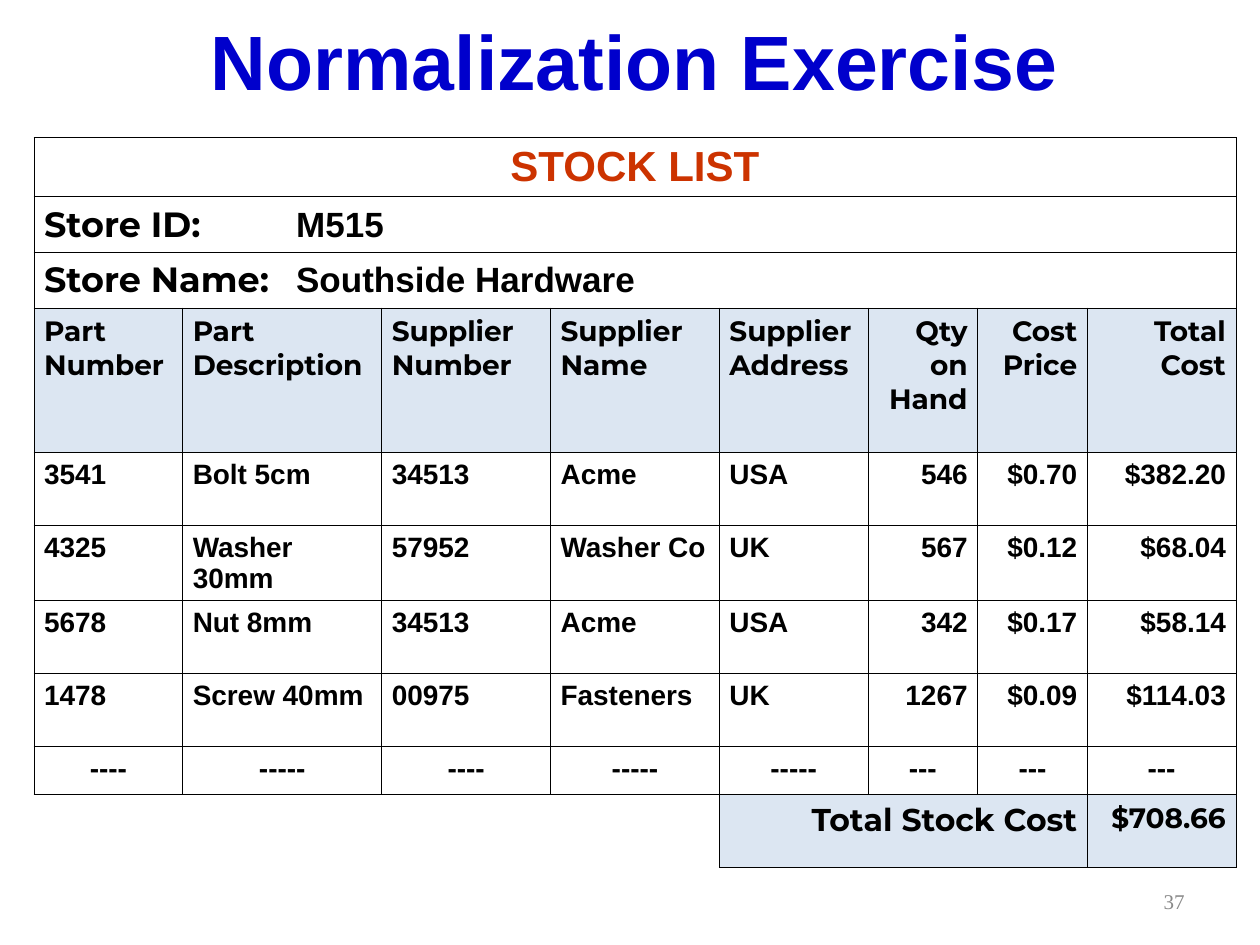
from lxml import etree
from pptx import Presentation
from pptx.dml.color import RGBColor
from pptx.enum.text import MSO_ANCHOR, PP_ALIGN
from pptx.oxml.ns import qn
from pptx.util import Inches, Pt

LEFT, CENTER, RIGHT = PP_ALIGN.LEFT, PP_ALIGN.CENTER, PP_ALIGN.RIGHT
MIDDLE = MSO_ANCHOR.MIDDLE
BODY, LABEL, NUMBER = "Arial", "Montserrat", "Times New Roman"
BLACK, BLUE, RED, GREY, PALE = "000000", "0000CC", "CC3300", "898989", "DCE6F2"

TITLE = "Normalization Exercise"
PAGE = "37"
CAPTION = "STOCK LIST"
STORE = [("Store ID:", "M515"), ("Store Name:", "Southside Hardware")]
HEADINGS = ["Part Number", "Part Description", "Supplier Number", "Supplier Name",
            "Supplier Address", "Qty on Hand", "Cost Price", "Total Cost"]
PARTS = [
    ["3541", "Bolt 5cm", "34513", "Acme", "USA", "546", "$0.70", "$382.20"],
    ["4325", "Washer 30mm", "57952", "Washer Co", "UK", "567", "$0.12", "$68.04"],
    ["5678", "Nut 8mm", "34513", "Acme", "USA", "342", "$0.17", "$58.14"],
    ["1478", "Screw 40mm", "00975", "Fasteners", "UK", "1267", "$0.09", "$114.03"],
]
MORE = ["----", "-----", "----", "-----", "-----", "---", "---", "---"]
TOTAL_LABEL, TOTAL = "Total Stock Cost", "$708.66"

COL_WIDTHS = [1.18, 1.58, 1.34, 1.34, 1.18, 0.87, 0.87, 1.18]
ROW_HEIGHTS = [0.41] * 3 + [1.15] + [0.58] * len(PARTS) + [0.38, 0.58]
HEADING_ROW = 1 + len(STORE)
LAST_ROW, LAST_COL = len(ROW_HEIGHTS) - 1, len(COL_WIDTHS) - 1
FIRST_NUMERIC_COL = 5
TOTAL_COL = 4


def rgb(value):
    return RGBColor.from_string(value)


def style(run, size, face, color=BLACK, bold=True):
    run.font.size = Pt(size)
    run.font.name = face
    run.font.bold = bold
    run.font.color.rgb = rgb(color)


def write(frame, text, size, face, align, color=BLACK, bold=True):
    frame.text = text
    paragraph = frame.paragraphs[0]
    paragraph.alignment = align
    style(paragraph.runs[0], size, face, color, bold)


def set_borders(cell, visible):
    """Draw the sides named in visible (letters of LRTB) and hide the others."""
    properties = cell._tc.get_or_add_tcPr()
    for index, side in enumerate("LRTB"):
        line = etree.Element(qn(f"a:ln{side}"), w=str(Pt(0.45)))
        if side in visible:
            fill = etree.SubElement(line, qn("a:solidFill"))
            etree.SubElement(fill, qn("a:srgbClr"), val=BLACK)
        else:
            etree.SubElement(line, qn("a:noFill"))
        properties.insert(index, line)


def add_tab(paragraph, position):
    tabs = etree.SubElement(paragraph._p.get_or_add_pPr(), qn("a:tabLst"))
    etree.SubElement(tabs, qn("a:tab"), pos=str(Inches(position)), algn="l")


def format_grid(table):
    for column, width in zip(table.columns, COL_WIDTHS):
        column.width = Inches(width)
    for r, height in enumerate(ROW_HEIGHTS):
        table.rows[r].height = Inches(height)
        for c in range(len(COL_WIDTHS)):
            cell = table.cell(r, c)
            cell.margin_left = cell.margin_right = Inches(0.08)
            cell.margin_top = cell.margin_bottom = Inches(0.05)
            blank = r == LAST_ROW and c < TOTAL_COL
            if r == HEADING_ROW or (r == LAST_ROW and not blank):
                cell.fill.solid()
                cell.fill.fore_color.rgb = rgb(PALE)
            else:
                cell.fill.background()
            blank_sides = "TR" if c == TOTAL_COL - 1 else "T"
            set_borders(cell, blank_sides if blank else "LRTB")


def fill_table(table):
    for r in range(HEADING_ROW):
        table.cell(r, 0).merge(table.cell(r, LAST_COL))
    table.cell(LAST_ROW, 0).merge(table.cell(LAST_ROW, TOTAL_COL - 1))
    table.cell(LAST_ROW, TOTAL_COL).merge(table.cell(LAST_ROW, LAST_COL - 1))

    write(table.cell(0, 0).text_frame, CAPTION, 24, BODY, CENTER, RED)
    for r, (label, value) in enumerate(STORE, start=1):
        paragraph = table.cell(r, 0).text_frame.paragraphs[0]
        add_tab(paragraph, 2)
        for text, face in ((label + "\t", LABEL), (value, BODY)):
            run = paragraph.add_run()
            run.text = text
            style(run, 20, face)

    for r, values in enumerate([HEADINGS, *PARTS, MORE], start=HEADING_ROW):
        face = LABEL if r == HEADING_ROW else BODY
        for c, text in enumerate(values):
            align = RIGHT if c >= FIRST_NUMERIC_COL else LEFT
            if values is MORE:
                align = CENTER
            write(table.cell(r, c).text_frame, text, 16, face, align)

    write(table.cell(LAST_ROW, TOTAL_COL).text_frame, TOTAL_LABEL, 18, LABEL, RIGHT)
    write(table.cell(LAST_ROW, LAST_COL).text_frame, TOTAL, 16, LABEL, RIGHT)


def main():
    deck = Presentation()
    deck.slide_width, deck.slide_height = Inches(10), Inches(7.5)
    slide = deck.slides.add_slide(deck.slide_layouts[5])

    title = slide.shapes.title
    title.left, title.top = Inches(0.51), Inches(0)
    title.width, title.height = Inches(9.06), Inches(0.94)
    title.text_frame.vertical_anchor = MIDDLE
    write(title.text_frame, TITLE, 44, BODY, CENTER, BLUE)

    stock = slide.shapes.add_table(
        len(ROW_HEIGHTS), len(COL_WIDTHS), Inches(0.27), Inches(1.09),
        Inches(sum(COL_WIDTHS)), Inches(sum(ROW_HEIGHTS))).table
    stock.first_row = stock.horz_banding = False
    format_grid(stock)
    fill_table(stock)

    page = slide.shapes.add_textbox(
        Inches(7.17), Inches(6.95), Inches(2.33), Inches(0.4)).text_frame
    page.word_wrap = True
    page.vertical_anchor = MIDDLE
    write(page, PAGE, 12, NUMBER, RIGHT, GREY, bold=False)

    deck.save("out.pptx")


if __name__ == "__main__":
    main()
